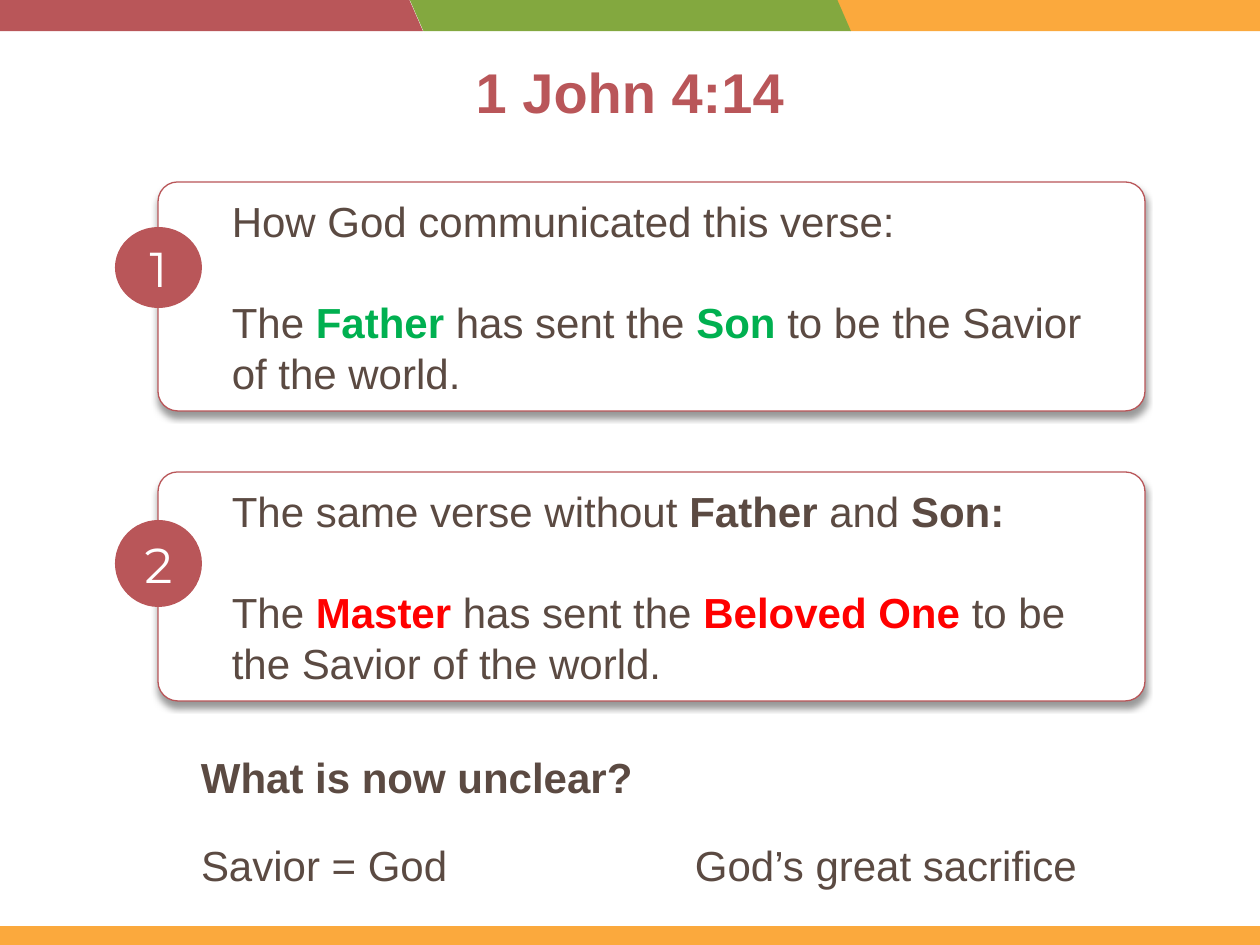
from dataclasses import dataclass

from lxml import etree
from pptx import Presentation
from pptx.dml.color import RGBColor
from pptx.enum.shapes import MSO_SHAPE
from pptx.enum.text import MSO_ANCHOR, PP_ALIGN
from pptx.oxml.ns import qn
from pptx.util import Emu, Pt

ROUNDED = MSO_SHAPE.ROUNDED_RECTANGLE
OVAL = MSO_SHAPE.OVAL
SLANTED = MSO_SHAPE.PARALLELOGRAM
RECTANGLE = MSO_SHAPE.RECTANGLE
MIDDLE, TOP = MSO_ANCHOR.MIDDLE, MSO_ANCHOR.TOP
LEFT, CENTER = PP_ALIGN.LEFT, PP_ALIGN.CENTER

PX_PER_INCH = 126
RED, GREEN, ORANGE = "B95659", "83A83F", "FBA93D"
BROWN, WHITE = "5B4A42", "FFFFFF"
KEPT, REPLACED = "00B050", "FF0000"


@dataclass(frozen=True)
class Run:
    text: str
    color: str = BROWN
    bold: bool = False


@dataclass(frozen=True)
class Verse:
    number: str
    top: int
    badge_top: int
    badge_height: int
    paragraphs: list[list[Run]]


@dataclass(frozen=True)
class Label:
    left: int
    top: int
    width: int
    run: Run


VERSES = [
    Verse("1", 182, 227, 81, [
        [Run("How God communicated this verse:")],
        [Run("The "), Run("Father ", KEPT, True), Run("has sent the "),
         Run("Son ", KEPT, True), Run("to be the Savior of the world.")],
    ]),
    Verse("2", 472, 520, 87, [
        [Run("The same verse without "), Run("Father ", bold=True),
         Run("and"), Run(" Son:", bold=True)],
        [Run("The "), Run("Master ", REPLACED, True), Run("has sent the "),
         Run("Beloved One ", REPLACED, True),
         Run("to be the Savior of the world.")],
    ]),
]
LABELS = [
    Label(188, 746, 616, Run("What is now unclear?", bold=True)),
    Label(188, 834, 284, Run("Savior = God")),
    Label(682, 834, 430, Run("God’s great sacrifice")),
]


def px(length: int) -> Emu:
    return Emu(round(length * 914400 / PX_PER_INCH))


def rgb(color: str) -> RGBColor:
    return RGBColor.from_string(color)


def write(shape, paragraphs: list[list[Run]], *, size: int = 24,
          font: str = "Arial", align=LEFT, anchor=TOP,
          margins: tuple[int, int, int, int] = (13, 6, 13, 6),
          line: int | None = None, gap: int = 0) -> None:
    frame = shape.text_frame
    frame.word_wrap = True
    frame.vertical_anchor = anchor
    (frame.margin_left, frame.margin_top,
     frame.margin_right, frame.margin_bottom) = map(px, margins)
    for index, runs in enumerate(paragraphs):
        paragraph = frame.add_paragraph() if index else frame.paragraphs[0]
        paragraph.alignment = align
        if line:
            paragraph.line_spacing = Pt(line)
        if index:
            paragraph.space_before = Pt(gap)
        for part in runs:
            run = paragraph.add_run()
            run.text = part.text
            run.font.name = font
            run.font.size = Pt(size)
            run.font.bold = part.bold
            run.font.color.rgb = rgb(part.color)


def add_block(slide, kind, left: int, top: int, width: int, height: int,
              fill: str, outline: str | None = None):
    block = slide.shapes.add_shape(kind, *map(px, (left, top, width, height)))
    block.shadow.inherit = False
    block.fill.solid()
    block.fill.fore_color.rgb = rgb(fill)
    if outline:
        block.line.color.rgb = rgb(outline)
        block.line.width = Pt(0.75)
    else:
        block.line.fill.background()
    return block


def add_text(slide, left: int, top: int, width: int, height: int,
             run: Run, **style) -> None:
    box = slide.shapes.add_textbox(*map(px, (left, top, width, height)))
    write(box, [[run]], **style)


def drop_shadow(shape) -> None:
    effects = shape._element.spPr.find(qn("a:effectLst"))
    shadow = etree.SubElement(
        effects, qn("a:outerShdw"), blurRad=str(Pt(4)), dist=str(Pt(3)),
        dir="5400000", algn="t", rotWithShape="0")
    color = etree.SubElement(shadow, qn("a:srgbClr"), val="000000")
    etree.SubElement(color, qn("a:alpha"), val="40000")


def add_bands(slide) -> None:
    for left, color in ((837, ORANGE), (-18, RED), (410, GREEN)):
        band = add_block(slide, SLANTED, left, 0, 441, 31, color)
        band.adjustments[0] = 0.436
        band._element.spPr.xfrm.set("flipH", "1")
    add_block(slide, RECTANGLE, 0, 926, 1260, 19, ORANGE)


def add_verse(slide, verse: Verse) -> None:
    card = add_block(slide, ROUNDED, 158, verse.top, 987, 229, WHITE, RED)
    card.adjustments[0] = 0.086
    drop_shadow(card)
    write(card, verse.paragraphs, anchor=MIDDLE, margins=(68, 6, 30, 6),
          line=29, gap=29)
    badge = add_block(slide, OVAL, 115, verse.badge_top, 87,
                      verse.badge_height, RED)
    write(badge, [[Run(verse.number, WHITE)]], size=28, font="Montserrat",
          align=CENTER, anchor=MIDDLE, margins=(0, 0, 0, 0))


def main() -> None:
    deck = Presentation()
    deck.slide_width, deck.slide_height = px(1260), px(945)
    slide = deck.slides.add_slide(deck.slide_layouts[6])
    add_bands(slide)
    add_text(slide, 87, 47, 1086, 183, Run("1 John 4:14", RED, True),
             size=32, align=CENTER, margins=(13, 11, 13, 6))
    for verse in VERSES:
        add_verse(slide, verse)
    for label in LABELS:
        add_text(slide, label.left, label.top, label.width, 63, label.run)
    deck.save("out.pptx")


if __name__ == "__main__":
    main()
